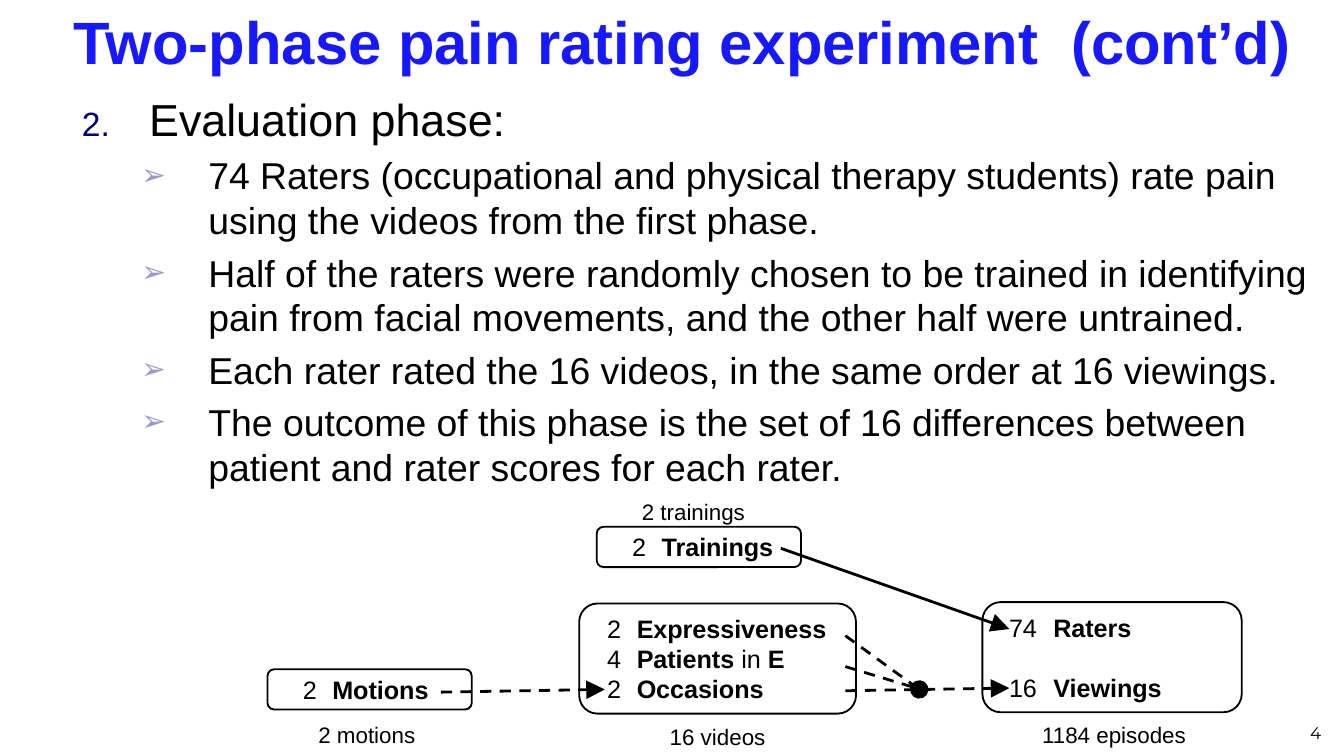
from lxml import etree
from pptx import Presentation
from pptx.dml.color import RGBColor
from pptx.enum.dml import MSO_LINE_DASH_STYLE as Dash
from pptx.enum.shapes import MSO_CONNECTOR as Connector, MSO_SHAPE as Shape
from pptx.enum.text import MSO_ANCHOR as Anchor, PP_ALIGN as Align
from pptx.oxml.ns import qn
from pptx.util import Inches, Pt

BLACK = "000000"


def add_run(para, text, size, color=BLACK, bold=False, font="Arial"):
    run = para.add_run()
    run.text = text
    run.font.name = font
    run.font.size = Pt(size)
    run.font.bold = bold
    run.font.color.rgb = RGBColor.from_string(color)


def add_text_box(left, top, width, height, anchor=Anchor.TOP):
    """Add a wrapping text box with narrow margins and return its frame."""
    box = slide.shapes.add_textbox(Inches(left), Inches(top), Inches(width), Inches(height))
    frame = box.text_frame
    frame.word_wrap = True
    frame.vertical_anchor = anchor
    frame.margin_left = frame.margin_right = Inches(0.08)
    frame.margin_top = frame.margin_bottom = Inches(0.04)
    return frame


deck = Presentation()
deck.slide_width = Inches(10)
deck.slide_height = Inches(10 * 9 / 16)
slide = deck.slides.add_slide(deck.slide_layouts[6])

# Title and slide number
title = add_text_box(0.47, 0.01, 9.45, 0.59, Anchor.MIDDLE)
add_run(title.paragraphs[0], "Two-phase pain rating experiment  (cont’d)", 32, "1818FF", True)

number = add_text_box(7.58, 5.19, 2.33, 0.38, Anchor.BOTTOM)
number.paragraphs[0].alignment = Align.RIGHT
add_run(number.paragraphs[0], "4", 9, font="Montserrat")

# Numbered heading with its arrow bullets
numbering = ("buAutoNum", {"type": "arabicPeriod", "startAt": "2"})
arrow_bullet = ("buChar", {"char": "➢"})
heading_style = (0, 0.56, 24, "00007D", 75, numbering)
point_style = (1, 1, 20, "9999CC", 80, arrow_bullet)
body_lines = [
    ("Evaluation phase:", heading_style),
    ("74 Raters (occupational and physical therapy students) rate pain "
     "using the videos from the first phase.", point_style),
    ("Half of the raters were randomly chosen to be trained in identifying "
     "pain from facial movements, and the other half were untrained.", point_style),
    ("Each rater rated the 16 videos, in the same order at 16 viewings.", point_style),
    ("The outcome of this phase is the set of 16 differences between "
     "patient and rater scores for each rater.", point_style),
]
body = add_text_box(0.47, 0.64, 9.45, 3.07)
for index, (text, style) in enumerate(body_lines):
    level, margin, size, bullet_color, bullet_percent, (bullet_tag, bullet_values) = style
    para = body.paragraphs[0] if index == 0 else body.add_paragraph()
    para.level = level
    para.space_before = Pt(size * 0.2)
    props = para._p.get_or_add_pPr()
    props.set("marL", str(Inches(margin)))
    props.set("indent", str(Inches(-0.5)))
    color = etree.SubElement(props, qn("a:buClr"))
    etree.SubElement(color, qn("a:srgbClr"), val=bullet_color)
    etree.SubElement(props, qn("a:buSzPct"), val=str(bullet_percent * 1000))
    etree.SubElement(props, qn("a:buFont"), typeface="Arial")
    etree.SubElement(props, qn("a:" + bullet_tag), bullet_values)
    add_run(para, text, size)

# Factor boxes: place, text margin, hanging indent, then rows of
# (count, [(words, bold)], points of space before)
factor_boxes = [
    ((1.99, 4.98, 1.52, 0.3), 0.37, 0.22, [("2", [("Motions", True)], 0)]),
    ((4.31, 4.49, 2.06, 0.82), 0.29, 0.22, [
        ("2", [("Expressiveness", True)], 0),
        ("4", [("Patients", True), (" in ", False), ("E", True)], 0),
        ("2", [("Occasions", True)], 0)]),
    ((7.31, 4.48, 1.93, 0.82), 0.39, 0.33, [
        ("74", [("Raters", True)], 0),
        ("16", [("Viewings", True)], 16)]),
    ((4.44, 3.92, 1.52, 0.3), 0.37, 0.22, [("2", [("Trainings", True)], 0)]),
]
for place, margin, hanging, rows in factor_boxes:
    box = slide.shapes.add_shape(Shape.ROUNDED_RECTANGLE, *map(Inches, place))
    box.shadow.inherit = False
    box.fill.background()
    box.line.color.rgb = RGBColor.from_string(BLACK)
    box.line.width = Pt(1)
    frame = box.text_frame
    frame.word_wrap = False
    frame.vertical_anchor = Anchor.MIDDLE
    for index, (count, words, space) in enumerate(rows):
        para = frame.paragraphs[0] if index == 0 else frame.add_paragraph()
        para.alignment = Align.LEFT
        para.space_before = Pt(space)
        props = para._p.get_or_add_pPr()
        props.set("marL", str(Inches(margin)))
        props.set("indent", str(Inches(-hanging)))
        add_run(para, count + "\t", 13.5)
        for text, bold in words:
            add_run(para, text, 13.5, bold=bold)

# Captions of the factor boxes
captions = [
    ("2 motions", 1.95, 5.32),
    ("16 videos", 4.56, 5.33),
    ("1184 episodes", 7.51, 5.32),
    ("2 trainings", 4.38, 3.66),
]
for text, left, top in captions:
    caption = add_text_box(left, top, 1.56, 0.3)
    caption.margin_top = caption.margin_bottom = Inches(0.05)
    caption.paragraphs[0].alignment = Align.CENTER
    add_run(caption.paragraphs[0], text, 12)

# Lines of the randomization: start, end, dash, end mark
links = [
    ((3.28, 5.15), (4.5, 5.13), Dash.DASH, "triangle"),
    ((5.81, 4.08), (7.51, 4.68), Dash.SOLID, "triangle"),
    ((6.29, 5.14), (7.51, 5.12), Dash.DASH, "triangle"),
    ((6.29, 4.73), (6.84, 5.13), Dash.DASH, "oval"),
    ((6.29, 4.96), (6.85, 5.13), Dash.DASH, None),
]
for start, end, dash, end_mark in links:
    link = slide.shapes.add_connector(Connector.STRAIGHT, *map(Inches, start + end))
    link.line.color.rgb = RGBColor.from_string(BLACK)
    link.line.width = Pt(1.5)
    link.line.dash_style = dash
    if end_mark:
        etree.SubElement(link.line._get_or_add_ln(), qn("a:tailEnd"),
                         type=end_mark, w="lg", len="lg")
    etree.SubElement(link._element.spPr, qn("a:effectLst"))

deck.save("out.pptx")
